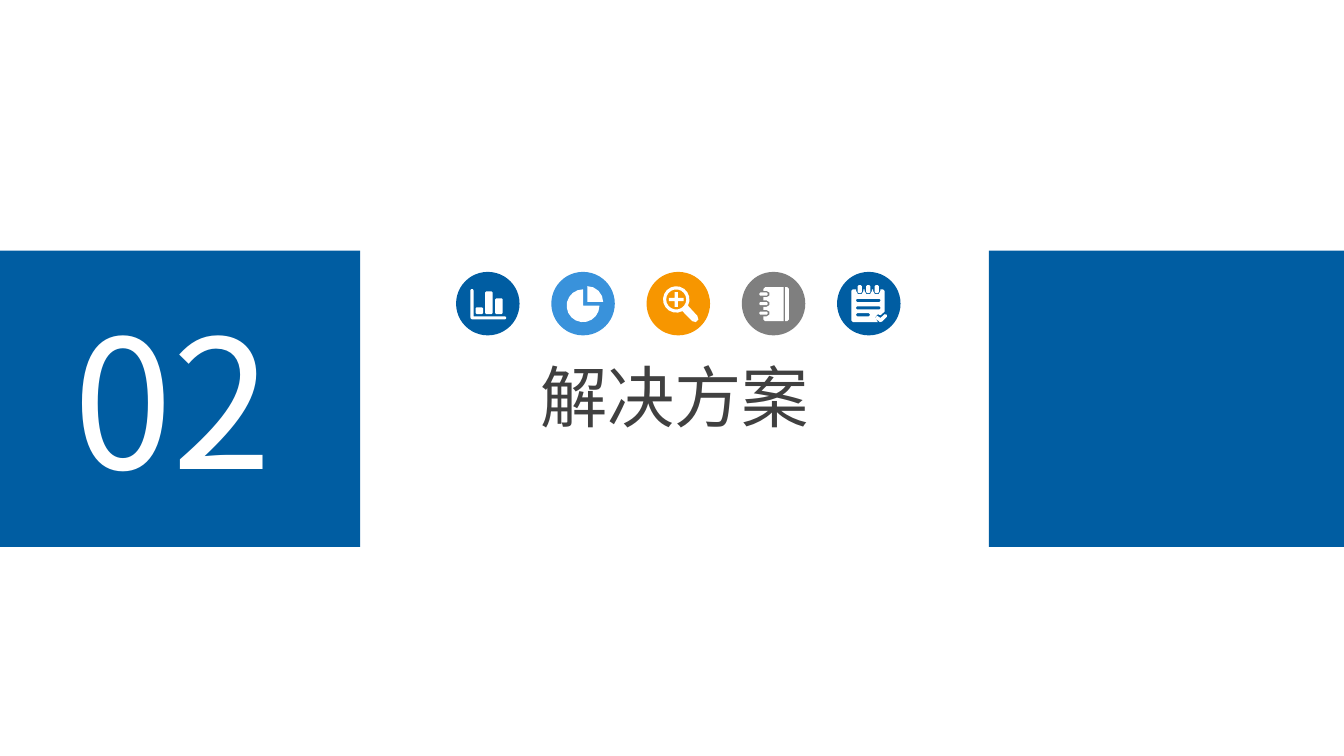
"""Build the section divider slide for part 02 with its five icons."""
from math import cos, radians, sin

from lxml.etree import SubElement
from pptx import Presentation
from pptx.dml.color import RGBColor
from pptx.enum.shapes import MSO_SHAPE as Preset
from pptx.enum.text import MSO_AUTO_SIZE as AutoSize, PP_ALIGN as Align
from pptx.oxml.ns import qn
from pptx.util import Cm, Pt

COLORS = {
    "blue": "005DA2",
    "sky": "3992DB",
    "orange": "F79600",
    "grey": "7F7F7F",
    "ink": "404040",
    "white": "FFFFFF",
}
FONT = "Noto Sans CJK SC"


def arc(cx, cy, radius, start, end):
    """Return points along an arc, with angles in degrees clockwise from the right."""
    step = 20 if radius > 0.1 else 60
    count = max(1, round(abs(end - start) / step))
    angles = [radians(start + (end - start) * i / count) for i in range(count + 1)]
    return [(cx + radius * cos(a), cy + radius * sin(a)) for a in angles]


def soft_box(x, y, width, height, cut=0.02):
    """Return the outline of a box with cut corners."""
    right, bottom = x + width, y + height
    return [(x + cut, y), (right - cut, y), (right, y + cut), (right, bottom - cut),
            (right - cut, bottom), (x + cut, bottom), (x, bottom - cut), (x, y + cut)]


bar_chart = [
    arc(0.3, 0.35, 0.03, 180, 360) + [(0.33, 0.84)]
    + arc(0.92, 0.87, 0.03, -90, 90) + arc(0.31, 0.86, 0.04, 90, 180),
    soft_box(0.37, 0.67, 0.14, 0.13),
    soft_box(0.55, 0.37, 0.14, 0.43),
    soft_box(0.74, 0.5, 0.14, 0.3),
]

pie_chart = [
    [(0.68, 0.57)] + arc(0.68, 0.57, 0.3, -90, 0),
    [(0.6, 0.64)] + arc(0.6, 0.64, 0.31, 0, 270),
]

magnifier = [
    arc(0.56, 0.52, 0.25, 62, 388) + arc(0.91, 0.88, 0.07, -45, 135),
    arc(0.56, 0.52, 0.19, 0, 360),
    [(0.53, 0.38), (0.59, 0.38), (0.59, 0.49), (0.7, 0.49), (0.7, 0.55), (0.59, 0.55),
     (0.59, 0.66), (0.53, 0.66), (0.53, 0.55), (0.42, 0.55), (0.42, 0.49), (0.53, 0.49)],
]

ring_heights = [0.42, 0.6, 0.78]
notebook_body = [(0.41, 0.32), (0.44, 0.29), (0.79, 0.29), (0.79, 0.93), (0.44, 0.93), (0.41, 0.9)]
for y in reversed(ring_heights):
    notebook_body += [(0.41, y + 0.06)] + arc(0.47, y, 0.06, 90, -90) + [(0.41, y - 0.06)]
notebook = [
    notebook_body,
    [(0.82, 0.29), (0.86, 0.29), (0.89, 0.32), (0.89, 0.9), (0.86, 0.93), (0.82, 0.93)],
] + [soft_box(0.33, y - 0.03, 0.16, 0.06) for y in ring_heights]

binder_places = [0.43, 0.59, 0.75]
checklist_page = [(0.27, 0.36), (0.3, 0.33)]
for x in binder_places:
    checklist_page += [(x - 0.07, 0.33)] + arc(x, 0.36, 0.07, 180, 0) + [(x + 0.07, 0.33)]
checklist_page += [(0.87, 0.33), (0.9, 0.36), (0.9, 0.75), (0.82, 0.82), (0.77, 0.8),
                   (0.72, 0.86), (0.77, 0.95), (0.3, 0.95), (0.27, 0.92)]
checklist = [
    checklist_page,
    [(0.73, 0.86), (0.76, 0.83), (0.82, 0.87), (0.9, 0.8), (0.94, 0.81),
     (0.94, 0.85), (0.85, 0.94), (0.81, 0.95), (0.74, 0.89)],
]
checklist += [soft_box(0.36, y, width, 0.06) for y, width in [(0.51, 0.46), (0.65, 0.46), (0.78, 0.26)]]
checklist += [soft_box(x - 0.04, 0.25, 0.08, 0.15) for x in binder_places]

deck = Presentation()
deck.slide_width, deck.slide_height = Cm(25.4), Cm(14.29)
slide = deck.slides.add_slide(deck.slide_layouts[6])
painted = []

for left in (0, 18.69):
    band = slide.shapes.add_shape(Preset.RECTANGLE, Cm(left), Cm(4.74), Cm(6.81), Cm(5.6))
    painted.append((band, "blue"))

headings = [
    ("02", (1.14, 5.36, 4.52, 4.37), 96, "white", Align.LEFT),
    ("解决方案", (9.93, 6.6, 5.64, 1.8), 36, "ink", Align.CENTER),
]
for wording, place, size, color, align in headings:
    heading = slide.shapes.add_textbox(*map(Cm, place))
    frame = heading.text_frame
    for key, value in {"word_wrap": False, "auto_size": AutoSize.SHAPE_TO_FIT_TEXT}.items():
        setattr(frame, key, value)
    paragraph = frame.paragraphs[0]
    paragraph.alignment = align
    run = paragraph.add_run()
    run.text = wording
    for key, value in {"name": FONT, "size": Pt(size)}.items():
        setattr(run.font, key, value)
    run.font.color.rgb = RGBColor.from_string(COLORS[color])
    SubElement(run.font._element, qn("a:ea"), typeface=FONT)

icons = [
    (bar_chart, "blue"),
    (pie_chart, "sky"),
    (magnifier, "orange"),
    (notebook, "grey"),
    (checklist, "blue"),
]
badge_top, badge_size, badge_pitch = 5.14, 1.2, 1.8
for index, (outlines, color) in enumerate(icons):
    badge_left = 8.62 + index * badge_pitch
    icon = slide.shapes.add_group_shape()
    badge = icon.shapes.add_shape(Preset.OVAL, Cm(badge_left), Cm(badge_top),
                                  Cm(badge_size), Cm(badge_size))
    placed = [[(Cm(badge_left + x), Cm(badge_top + y)) for x, y in outline]
              for outline in outlines]
    pen = icon.shapes.build_freeform(*placed[0][0])
    pen.add_line_segments(placed[0][1:], close=True)
    for outline in placed[1:]:
        pen.move_to(*outline[0])
        pen.add_line_segments(outline[1:], close=True)
    painted += [(badge, color), (pen.convert_to_shape(), "white")]

for part, color in painted:
    part.shadow.inherit = False
    part.fill.solid()
    part.fill.fore_color.rgb = RGBColor.from_string(COLORS[color])
    part.line.fill.background()

deck.save("out.pptx")
